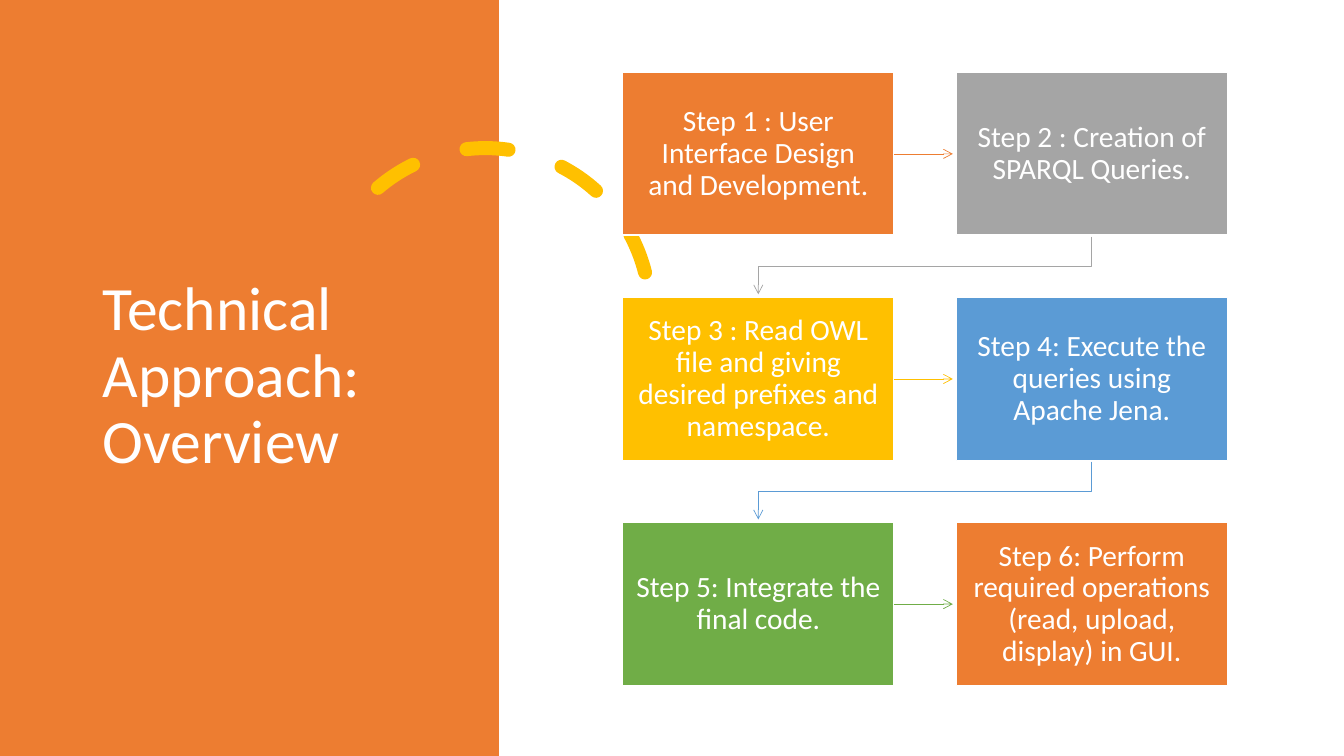
from dataclasses import dataclass

from lxml import etree
from pptx import Presentation
from pptx.dml.color import RGBColor
from pptx.enum.dml import MSO_LINE
from pptx.enum.shapes import MSO_CONNECTOR, MSO_SHAPE
from pptx.enum.text import MSO_ANCHOR, PP_ALIGN
from pptx.oxml.ns import qn
from pptx.shapes.autoshape import Shape
from pptx.shapes.connector import Connector
from pptx.shapes.shapetree import SlideShapes
from pptx.text.text import TextFrame
from pptx.util import Pt

RECT, ARC = MSO_SHAPE.RECTANGLE, MSO_SHAPE.ARC
STRAIGHT = MSO_CONNECTOR.STRAIGHT
DASH = MSO_LINE.DASH
MIDDLE = MSO_ANCHOR.MIDDLE
LEFT, CENTER = PP_ALIGN.LEFT, PP_ALIGN.CENTER
RIGHT_SIDE = 3


@dataclass(frozen=True)
class Theme:
    font: str = "Calibri"
    title: float = 44
    body: float = 21
    white: str = "FFFFFF"
    orange: str = "ED7D31"
    gray: str = "A5A5A5"
    gold: str = "FFC000"
    blue: str = "5B9BD5"
    green: str = "70AD47"


@dataclass(frozen=True)
class Step:
    text: str
    color: str


THEME = Theme()
STEPS = [
    Step("Step 1 : User Interface Design and Development.", THEME.orange),
    Step("Step 2 : Creation of SPARQL Queries.", THEME.gray),
    Step("Step 3 : Read OWL file and giving desired prefixes and namespace.", THEME.gold),
    Step("Step 4: Execute the queries using Apache Jena.", THEME.blue),
    Step("Step 5: Integrate the final code.", THEME.green),
    Step("Step 6: Perform required operations (read, upload, display) in GUI.", THEME.orange),
]

# Step grid, in points
COLS = 2
GRID_X, GRID_Y = 444.8, 51.8
BOX_W, BOX_H = 193.7, 116.2
STEP_X, STEP_Y = 238.2, 160.8
GAP = 2.4  # space between an arrow tip and the next box


def paint(shape: Shape, fill: str, line: str | None = None) -> None:
    shape.shadow.inherit = False
    shape.fill.solid()
    shape.fill.fore_color.rgb = RGBColor.from_string(fill)
    if line:
        shape.line.color.rgb = RGBColor.from_string(line)
        shape.line.width = Pt(1)
    else:
        shape.line.fill.background()


def write(frame: TextFrame, text: str, size: float, align: PP_ALIGN) -> None:
    frame.word_wrap = True
    frame.vertical_anchor = MIDDLE
    para = frame.paragraphs[0]
    para.text = text
    para.alignment = align
    para.line_spacing = 0.9
    para.font.name = THEME.font
    para.font.size = Pt(size)
    para.font.color.rgb = RGBColor.from_string(THEME.white)


def add_tip(link: Shape | Connector, color: str) -> None:
    link.line.color.rgb = RGBColor.from_string(color)
    link.line.width = Pt(0.5)
    etree.SubElement(link.line._get_or_add_ln(), qn("a:tailEnd"), type="arrow")


def add_box(shapes: SlideShapes, step: Step, x: float, y: float) -> Shape:
    box = shapes.add_shape(RECT, Pt(x), Pt(y), Pt(BOX_W), Pt(BOX_H))
    paint(box, step.color, THEME.white)
    frame = box.text_frame
    frame.margin_left = frame.margin_right = Pt(9.4)
    frame.margin_top = frame.margin_bottom = Pt(10)
    write(frame, step.text, THEME.body, CENTER)
    return box


def link_row(shapes: SlideShapes, box: Shape, step: Step, x: float, y: float) -> None:
    mid = Pt(y + BOX_H / 2)
    link = shapes.add_connector(STRAIGHT, Pt(x + BOX_W), mid, Pt(x + STEP_X - GAP), mid)
    link.begin_connect(box, RIGHT_SIDE)
    add_tip(link, step.color)
    etree.SubElement(link._element.spPr, qn("a:effectLst"))


def link_down(shapes: SlideShapes, step: Step, x: float, y: float) -> None:
    start, end = x + BOX_W / 2, GRID_X + BOX_W / 2
    top, bend, tip = y + BOX_H + 1, y + BOX_H + 22.2, y + STEP_Y - GAP
    path = shapes.build_freeform(Pt(start), Pt(top))
    turns = [(start, bend), (end, bend), (end, tip)]
    path.add_line_segments([(Pt(a), Pt(b)) for a, b in turns], close=False)
    link = path.convert_to_shape()
    link.shadow.inherit = False
    link.fill.background()
    add_tip(link, step.color)


def add_arc(shapes: SlideShapes) -> None:
    arc = shapes.add_shape(ARC, Pt(229), Pt(105.8), Pt(235.4), Pt(235.4))
    arc.adjustments[0] = 146.13
    arc.adjustments[1] = 0
    arc.rotation = 345.8
    arc.shadow.inherit = False
    arc.fill.background()
    arc.line.color.rgb = RGBColor.from_string(THEME.gold)
    arc.line.width = Pt(10)
    arc.line.dash_style = DASH
    arc.line._get_or_add_ln().set("cap", "rnd")


def main() -> None:
    deck = Presentation()
    deck.slide_width, deck.slide_height = Pt(960), Pt(540)
    shapes = deck.slides.add_slide(deck.slide_layouts[6]).shapes

    # Side panel, dashed arc and title
    panel = shapes.add_shape(RECT, 0, 0, Pt(356.3), Pt(540))
    paint(panel, THEME.orange)
    add_arc(shapes)
    title = shapes.add_textbox(Pt(66.2), Pt(50.4), Pt(232.6), Pt(438.5))
    write(title.text_frame, "Technical Approach: Overview", THEME.title, LEFT)

    # Steps, each with an arrow to the next
    for i, step in enumerate(STEPS):
        row, col = divmod(i, COLS)
        x, y = GRID_X + col * STEP_X, GRID_Y + row * STEP_Y
        box = add_box(shapes, step, x, y)
        if col < COLS - 1:
            link_row(shapes, box, step, x, y)
        elif i < len(STEPS) - 1:
            link_down(shapes, step, x, y)

    deck.save("out.pptx")


if __name__ == "__main__":
    main()
